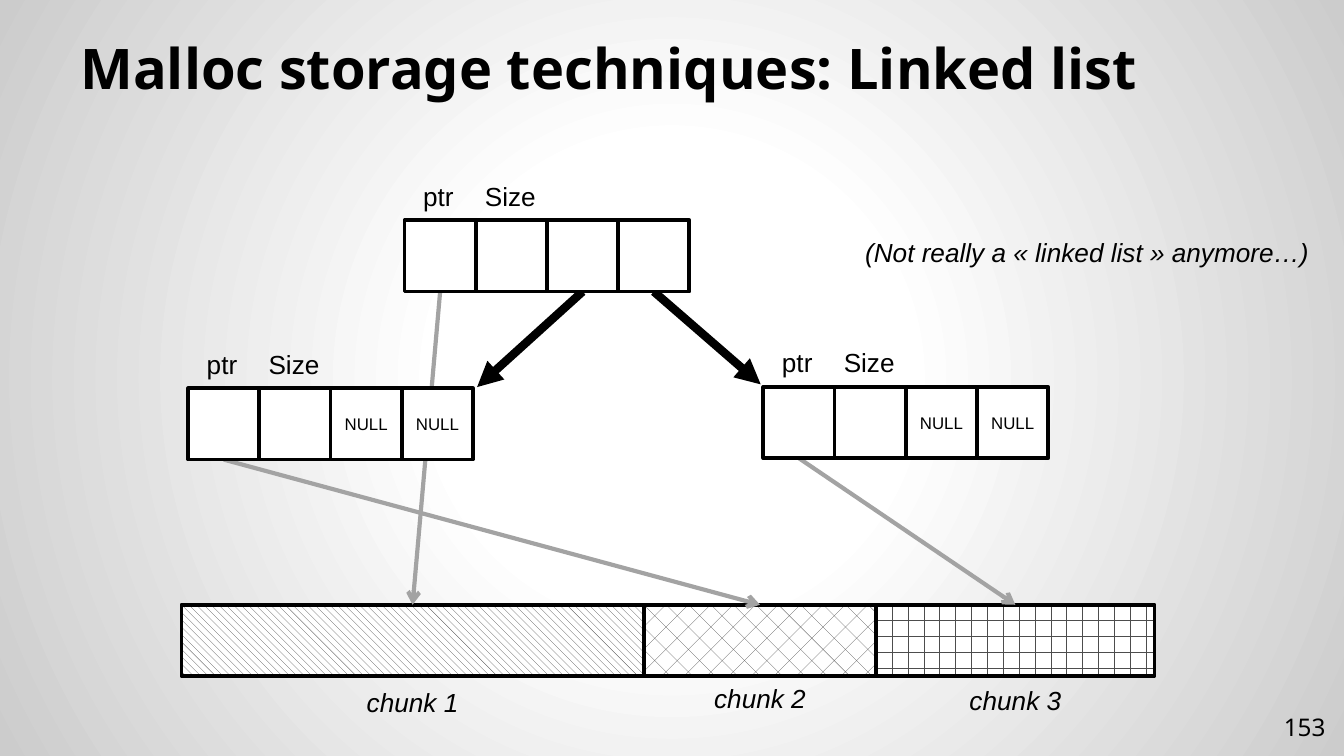
from dataclasses import dataclass

from lxml.etree import SubElement
from pptx import Presentation
from pptx.dml.color import RGBColor as Rgb
from pptx.enum.dml import MSO_PATTERN_TYPE as Pat
from pptx.enum.shapes import MSO_CONNECTOR as Conn, MSO_SHAPE as Shape
from pptx.enum.text import MSO_ANCHOR as Anchor, PP_ALIGN as Align
from pptx.oxml import parse_xml
from pptx.oxml.ns import nsdecls, qn
from pptx.util import Inches, Pt


@dataclass(frozen=True)
class Theme:
    """Colours, fonts and type sizes."""
    ink: str = "000000"
    paper: str = "FFFFFF"
    edge: str = "CCCCCC"
    hatch: str = "4D4D4D"
    link: str = "A3A3A3"
    head: str = "Noto Sans"
    body: str = "Arial"
    title: int = 30
    label: int = 14
    page: int = 13
    null: int = 9


THEME = Theme()
CELL = 0.53
ROOT, LEFT, RIGHT = (3.01, 1.64), (1.4, 2.89), (5.68, 2.88)
HEAP = 4.5
CHUNKS = (
    (1.35, 3.44, Pat.WIDE_DOWNWARD_DIAGONAL, 5.06),
    (4.79, 1.73, Pat.DIAGONAL_BRICK, 5.03),
    (6.52, 2.07, Pat.HORIZONTAL_BRICK, 5.04),
)


def paint(slide):
    """Fill the background with a round gradient."""
    stops = ((0, THEME.paper), (30, THEME.paper), (100, THEME.edge))
    marks = "".join(
        f'<a:gs pos="{pos * 1000}"><a:srgbClr val="{tint}"/></a:gs>' for pos, tint in stops
    )
    slide.background.fill.solid()
    props = slide.background.fill._xPr
    props.replace(props.find(qn("a:solidFill")), parse_xml(
        f'<a:gradFill {nsdecls("a")} rotWithShape="0"><a:gsLst>{marks}</a:gsLst>'
        '<a:path path="circle"><a:fillToRect l="50000" t="50000" r="50000" b="50000"/>'
        '</a:path></a:gradFill>'
    ))


def write(frame, text, size, font=THEME.body, align=Align.LEFT, bold=False, slant=False):
    """Set one line of text and its look."""
    frame.text = text
    line = frame.paragraphs[0]
    line.alignment = align
    face = line.runs[0].font
    face.name, face.size = font, Pt(size)
    face.bold, face.italic = bold, slant
    face.color.rgb = Rgb.from_string(THEME.ink)


def inset(frame, gap):
    """Give a frame equal margins."""
    frame.margin_left = frame.margin_right = Inches(gap)
    frame.margin_top = frame.margin_bottom = Inches(gap)


def label(shapes, box, text, size=THEME.label, wrap=True, **look):
    """Add a text box."""
    frame = shapes.add_textbox(*map(Inches, box)).text_frame
    frame.word_wrap = wrap
    write(frame, text, size, **look)
    return frame


def block(shapes, x, y, wide):
    """Add an outlined white box."""
    box = shapes.add_shape(Shape.RECTANGLE, *map(Inches, (x, y, wide, CELL)))
    box.shadow.inherit = False
    box.fill.solid()
    box.fill.fore_color.rgb = Rgb.from_string(THEME.paper)
    box.line.color.rgb = Rgb.from_string(THEME.ink)
    box.line.width = Pt(2)
    return box


def node(slide, spot, text=""):
    """Add a tree node of four cells with field names."""
    x, y = spot
    shapes = slide.shapes.add_group_shape().shapes
    for i in range(4):
        cell = block(shapes, x + i * CELL, y, CELL)
        if text and i > 1:
            frame = cell.text_frame
            frame.vertical_anchor = Anchor.MIDDLE
            inset(frame, 0)
            write(frame, text, THEME.null, align=Align.CENTER)
    for name, shift, wide in (("Size", 0.5, 0.6), ("ptr", 0.04, 0.46)):
        label(shapes, (x + shift, y - 0.35, wide, 0.34), name, wrap=False)


def heap(slide):
    """Add the row of hatched chunks and their names."""
    shapes = slide.shapes.add_group_shape().shapes
    for i, (x, wide, pattern, low) in enumerate(CHUNKS, 1):
        fill = block(shapes, x, HEAP, wide).fill
        fill.patterned()
        fill.pattern = pattern
        fill.fore_color.rgb = Rgb.from_string(THEME.hatch)
        fill.back_color.rgb = Rgb.from_string(THEME.paper)
        label(shapes, (x, low, wide, 0.35), f"chunk {i}", align=Align.CENTER, slant=True)


def arrow(slide, spot, cell, end, tint, width, tip):
    """Draw an arrow from below a node's cell."""
    start = (spot[0] + (cell + 0.5) * CELL, spot[1] + CELL)
    line = slide.shapes.add_connector(Conn.STRAIGHT, *map(Inches, start + end))
    line.line.color.rgb = Rgb.from_string(tint)
    line.line.width = Pt(width)
    SubElement(line.line._get_or_add_ln(), qn("a:tailEnd"), type=tip)
    SubElement(line._element.spPr, qn("a:effectLst"))


def main():
    """Build the slide."""
    deck = Presentation()
    deck.slide_width, deck.slide_height = Inches(10), Inches(10 * 9 / 16)
    slide = deck.slides.add_slide(deck.slide_layouts[6])
    paint(slide)
    title = label(slide.shapes, (0.5, 0.23, 9, 0.62), "Malloc storage techniques: Linked list",
                  THEME.title, font=THEME.head, bold=True)
    title.vertical_anchor = Anchor.BOTTOM
    page = label(slide.shapes, (9.36, 5.19, 0.6, 0.43), "153",
                 THEME.page, font=THEME.head, align=Align.RIGHT)
    page.vertical_anchor = Anchor.MIDDLE
    for frame in (title, page):
        inset(frame, 0.1)
    heap(slide)
    for cell, end in ((2, (3.55, 2.88)), (3, (5.66, 2.86))):
        arrow(slide, ROOT, cell, end, THEME.ink, 4.5, "triangle")
    for spot, (x, wide, *_) in zip((ROOT, LEFT, RIGHT), CHUNKS):
        arrow(slide, spot, 0, (x + wide / 2, HEAP), THEME.link, 2.25, "arrow")
    node(slide, LEFT, "NULL")
    node(slide, ROOT)
    node(slide, RIGHT, "NULL")
    label(slide.shapes, (6.09, 1.71, 3.75, 0.34), "(Not really a « linked list » anymore…)",
          align=Align.RIGHT, slant=True)
    deck.save("out.pptx")


if __name__ == "__main__":
    main()
